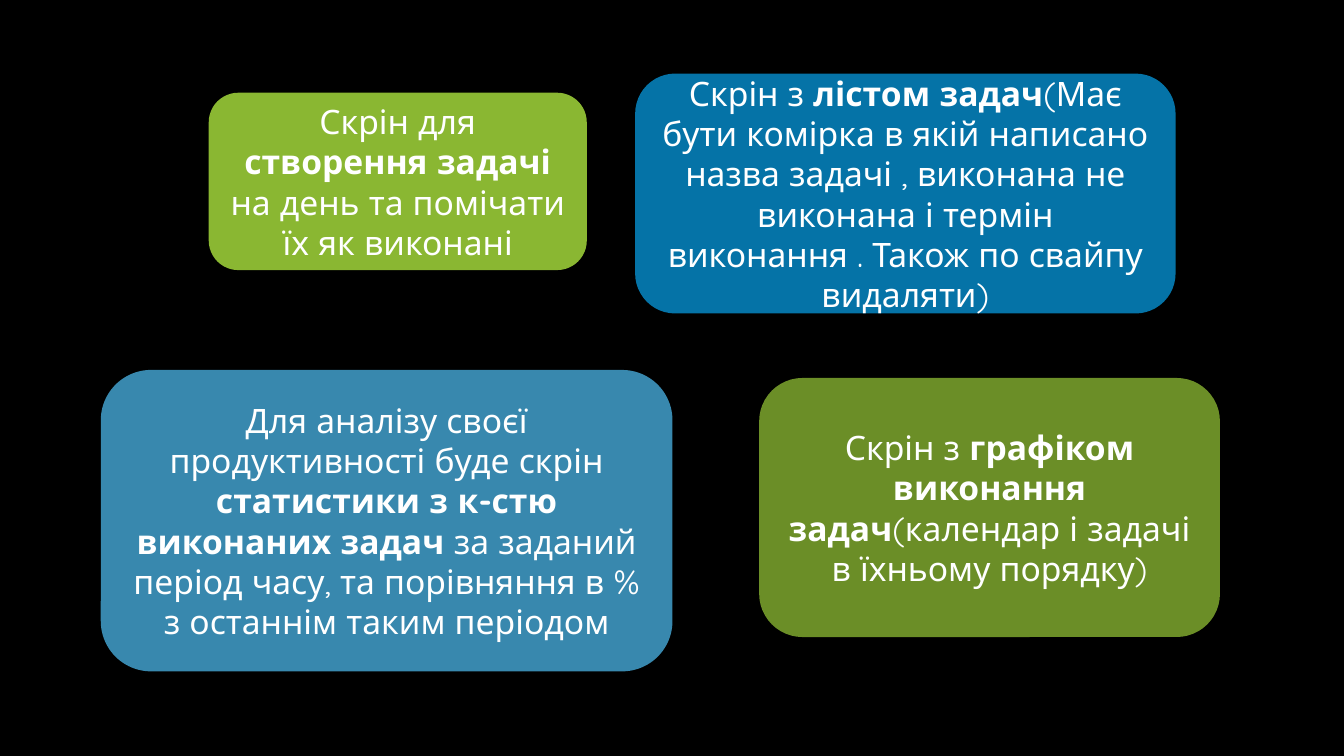
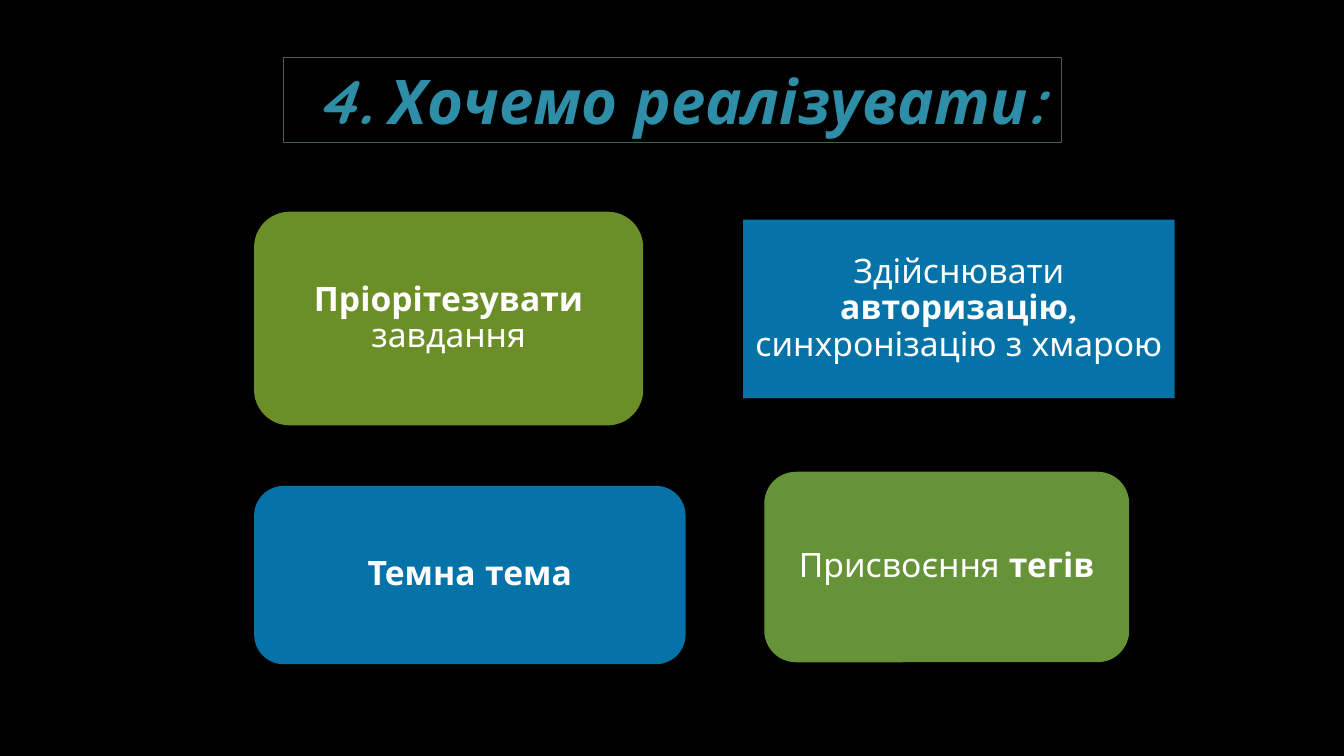
from lxml import etree
from pptx import Presentation
from pptx.dml.color import RGBColor
from pptx.enum.shapes import MSO_SHAPE
from pptx.enum.text import MSO_ANCHOR, MSO_AUTO_SIZE, PP_ALIGN
from pptx.oxml.ns import qn
from pptx.util import Inches, Pt

ROUND, RECT = MSO_SHAPE.ROUNDED_RECTANGLE, MSO_SHAPE.RECTANGLE
MIDDLE = MSO_ANCHOR.MIDDLE
NO_FIT = MSO_AUTO_SIZE.NONE
LEFT, CENTER = PP_ALIGN.LEFT, PP_ALIGN.CENTER

BLACK = RGBColor(0x00, 0x00, 0x00)
WHITE = RGBColor(0xFF, 0xFF, 0xFF)
LIME = RGBColor(0x99, 0xCB, 0x38)
GREEN = RGBColor(0x92, 0xD0, 0x50)
BLUE = RGBColor(0x08, 0xA5, 0xEF)
SKY = RGBColor(0x51, 0xC3, 0xF9)
TEAL = RGBColor(0x2E, 0x8E, 0xA8)
FRAME = RGBColor(0x45, 0x5F, 0x51)
FONT = "Quicksand"
TITLE_ONLY, BLANK = 5, 6


def place(sp, box):
    """Move a shape to a box of left, top, width and height in inches."""
    sp.left, sp.top, sp.width, sp.height = map(Inches, box)


def write(sp, runs, size=24, color=WHITE, italic=False, align=CENTER, spacing=1.0):
    """Fill a shape with one paragraph of (text, bold) runs."""
    tf = sp.text_frame
    tf.word_wrap, tf.auto_size, tf.vertical_anchor = True, NO_FIT, MIDDLE
    p = tf.paragraphs[0]
    p.alignment, p.line_spacing = align, spacing
    for text, bold in runs:
        r = p.add_run()
        r.text = text
        r.font.name, r.font.size, r.font.color.rgb = FONT, Pt(size), color
        r.font.bold, r.font.italic = bold, italic


def add_card(slide, box, color, runs, opacity=70, kind=ROUND, spacing=1.0):
    """Draw a translucent card with centred text."""
    sp = slide.shapes.add_shape(kind, *map(Inches, box))
    sp.shadow.inherit = False
    sp.line.fill.background()
    sp.fill.solid()
    sp.fill.fore_color.rgb = color
    clr = sp.fill._xPr.find(qn("a:solidFill"))[0]
    etree.SubElement(clr, qn("a:alpha")).set("val", str(opacity * 1000))
    write(sp, runs, spacing=spacing)


def add_title(slide, text, box):
    """Format the title placeholder as a framed heading."""
    sp = slide.shapes.title
    place(sp, box)
    sp.line.color.rgb = FRAME
    sp.line.width = Pt(0.75)
    sp.text_frame.margin_left = Inches(0.3)
    sp.text_frame.margin_right = Inches(0)
    write(sp, [(text, True)], size=44, color=TEAL, italic=True, align=LEFT)


def build_screens(prs):
    """Build the slide that lists the screens of the app."""
    slide = prs.slides.add_slide(prs.slide_layouts[BLANK])
    add_card(slide, (2.07, 0.92, 3.75, 1.76), LIME, [
        ("Скрін для ", False), ("створення задачі", True),
        (" на день та помічати їх як виконані", False)], opacity=90)
    add_card(slide, (6.3, 0.73, 5.36, 2.38), BLUE, [
        ("Скрін з ", False), ("лістом задач", True),
        ("(Має бути комірка в якій написано назва задачі , виконана не "
         "виконана і термін виконання . Також по свайпу видаляти)", False)])
    add_card(slide, (1, 3.67, 5.67, 2.99), SKY, [
        ("Для аналізу своєї продуктивності буде скрін ", False),
        ("статистики з к-стю виконаних задач ", True),
        ("за заданий період часу, та порівняння в % "
         "з останнім таким періодом", False)])
    add_card(slide, (7.53, 3.75, 4.57, 2.57), LIME, [
        ("Скрін з ", False), ("графіком виконання задач", True),
        ("(календар і задачі в їхньому порядку)", False)])


def build_plans(prs):
    """Build the slide with the planned features."""
    slide = prs.slides.add_slide(prs.slide_layouts[TITLE_ONLY])
    add_title(slide, "4. Хочемо реалізувати:", (2.81, 0.57, 7.72, 0.84))
    cards = [
        ((2.52, 2.1, 3.86, 2.12), LIME, ROUND,
         [("Пріорітезувати ", True), ("завдання", False)]),
        ((7.37, 2.18, 4.28, 1.77), BLUE, RECT,
         [("Здійснювати ", False), ("авторизацію, ", True),
          ("синхронізацію з хмарою", False)]),
        ((2.52, 4.82, 4.28, 1.77), BLUE, ROUND, [("Темна тема", True)]),
        ((7.58, 4.68, 3.62, 1.89), GREEN, ROUND,
         [("Присвоєння ", False), ("тегів", True)]),
    ]
    for box, color, kind, runs in cards:
        add_card(slide, box, color, runs, kind=kind, spacing=0.9)


def main():
    """Build and save the presentation."""
    prs = Presentation()
    prs.slide_width, prs.slide_height = Inches(13.33), Inches(7.5)
    fill = prs.slide_master.background.fill
    fill.solid()
    fill.fore_color.rgb = BLACK
    build_screens(prs)
    build_plans(prs)
    prs.save("out.pptx")


if __name__ == "__main__":
    main()
